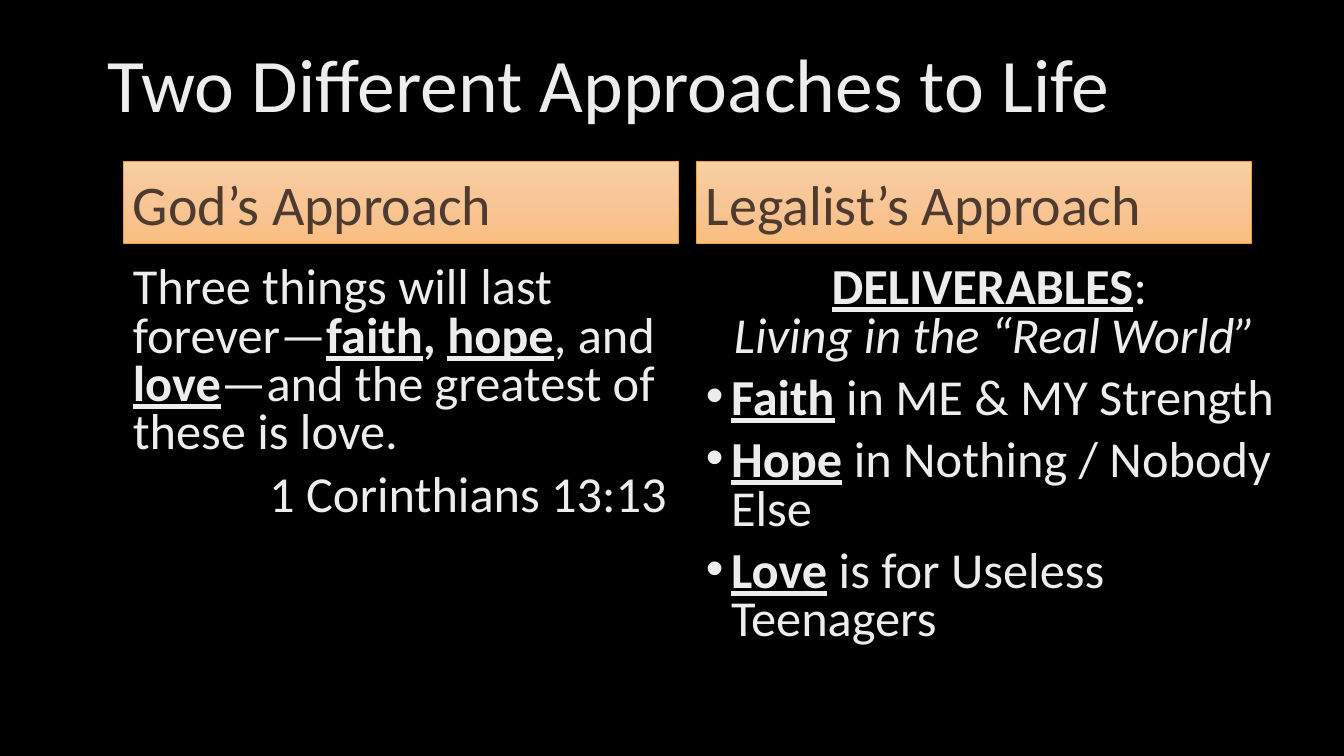
from copy import deepcopy

from lxml import etree
from pptx import Presentation, util as u
from pptx.dml.color import RGBColor
from pptx.enum import shapes, text
from pptx.oxml.ns import qn

PX = 914400 / 100.8
COLORS = {"back": "000000", "text": "EDEDED", "heading": "4E3B30", "border": "F0A22E"}
HEADING_STOPS = ["F9CEA4", "F7C596", "FABE81"]
LEFT, CENTER, RIGHT = text.PP_ALIGN.LEFT, text.PP_ALIGN.CENTER, text.PP_ALIGN.RIGHT


def px(*lengths):
    return [u.Emu(round(n * PX)) for n in lengths]


def add_paragraph(tf, first, runs, size, color, spacing, align=LEFT, bullet=False):
    """Runs are (text, style) pairs; style letters are b, i and u."""
    p = tf.paragraphs[0] if first else tf.add_paragraph()
    p.alignment, p.line_spacing, p.space_before = align, spacing, u.Pt(10)
    for words, style in runs:
        if words == "\n":
            p.add_line_break()
            continue
        r = p.add_run()
        r.text = words
        r.font.name, r.font.size = "Calibri", u.Pt(size)
        r.font.color.rgb = RGBColor.from_string(COLORS[color])
        r.font.bold, r.font.italic, r.font.underline = (c in style for c in "biu")
    if bullet:
        pPr = p._p.get_or_add_pPr()
        pPr.set("marL", "228600")
        pPr.set("indent", "-228600")
        etree.SubElement(pPr, qn("a:buFont")).set("typeface", "Arial")
        etree.SubElement(pPr, qn("a:buChar")).set("char", "•")


prs = Presentation()
prs.slide_width, prs.slide_height = px(1344, 756)
s = prs.slides.add_slide(prs.slide_layouts[6])
s.background.fill.solid()
s.background.fill.fore_color.rgb = RGBColor.from_string(COLORS["back"])

# Title
tf = s.shapes.add_textbox(*px(98, 15, 1159, 146)).text_frame
tf.word_wrap = True
tf.vertical_anchor = text.MSO_ANCHOR.MIDDLE
add_paragraph(tf, True, [("Two Different Approaches to Life", "")], 54, "text", 0.9)

# Columns: left, body width, body height, heading, body paragraphs (runs, align, bullet)
columns = [
    (123, 554, 406, "God’s Approach", [
        ([("Three things will last forever—", ""), ("faith", "bu"), (", ", "b"),
          ("hope", "bu"), (", and ", ""), ("love", "bu"),
          ("—and the greatest of these is love.", "")], LEFT, False),
        ([("1 Corinthians 13:13", "")], RIGHT, False),
    ]),
    (696, 598, 455, "Legalist’s Approach", [
        ([("DELIVERABLES", "bu"), (": ", ""), ("\n", ""),
          ("Living in the “Real World”", "i")], CENTER, False),
        ([("Faith", "bu"), (" in ME & MY Strength", "")], LEFT, True),
        ([("Hope", "bu"), (" in Nothing / Nobody Else", "")], LEFT, True),
        ([("Love", "bu"), (" is for Useless Teenagers", "")], LEFT, True),
    ]),
]

for left, width, height, heading, paragraphs in columns:
    # Heading bar with a three-stop gradient
    sp = s.shapes.add_shape(shapes.MSO_SHAPE.RECTANGLE, *px(left, 161, 555, 82))
    sp.shadow.inherit = False
    sp.fill.gradient()
    sp.fill.gradient_angle = 270
    first_stop = sp._element.spPr.find(".//" + qn("a:gs"))
    middle_stop = deepcopy(first_stop)
    middle_stop.set("pos", "50000")
    first_stop.addnext(middle_stop)
    for stop, color in zip(sp.fill.gradient_stops, HEADING_STOPS):
        stop.color.rgb = RGBColor.from_string(color)
    sp.line.color.rgb = RGBColor.from_string(COLORS["border"])
    sp.line.width = u.Pt(0.5)
    tf = sp.text_frame
    tf.vertical_anchor = text.MSO_ANCHOR.BOTTOM
    add_paragraph(tf, True, [(heading, "")], 40, "heading", 0.9)

    # Body text
    tf = s.shapes.add_textbox(*px(left, 261, width, height)).text_frame
    tf.word_wrap = True
    for i, (runs, align, bullet) in enumerate(paragraphs):
        add_paragraph(tf, i == 0, runs, 36, "text", 0.8, align, bullet)

prs.save("out.pptx")
